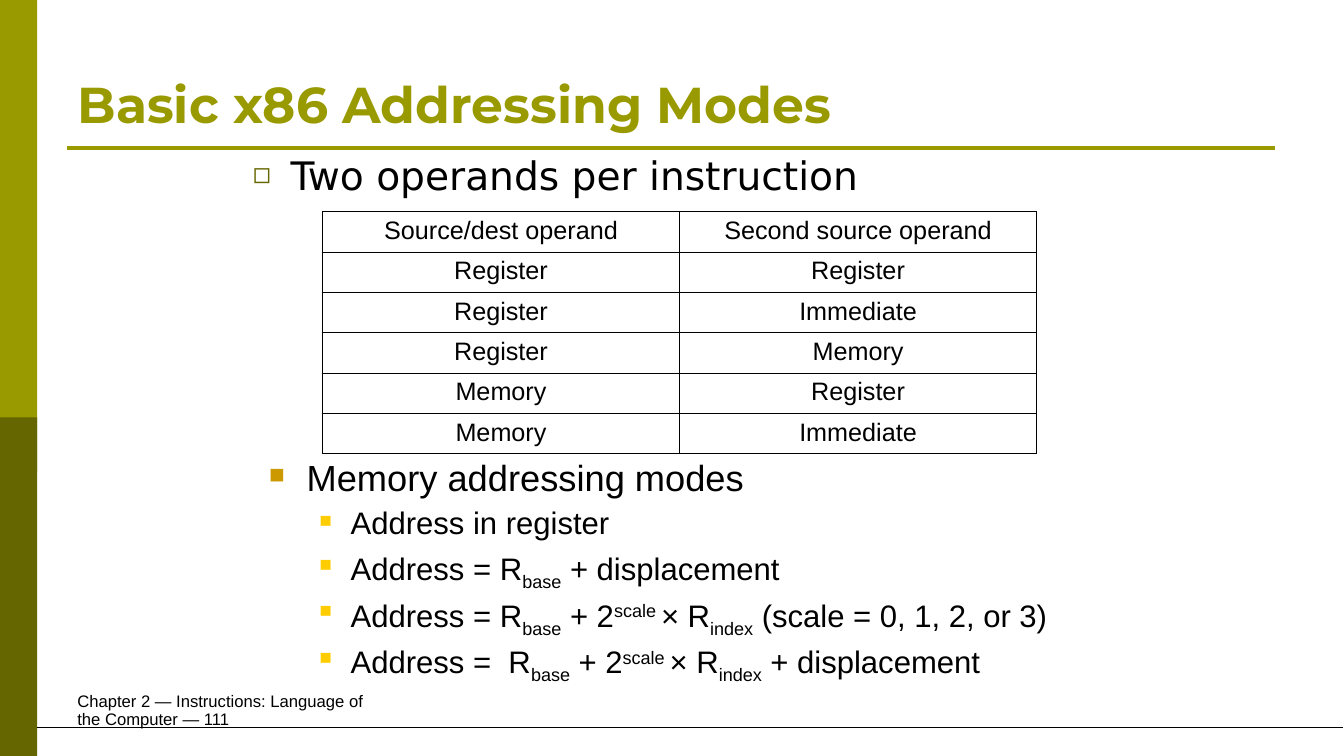
from lxml.etree import SubElement
from pptx import Presentation
from pptx.dml.color import RGBColor
from pptx.enum.shapes import MSO_CONNECTOR as Conn, MSO_SHAPE as Shape
from pptx.enum.text import MSO_ANCHOR as Anchor, MSO_AUTO_SIZE as Auto, PP_ALIGN as Align
from pptx.oxml import parse_xml
from pptx.oxml.ns import nsdecls, qn
from pptx.util import Cm, Pt

# Content
TITLE = "Basic x86 Addressing Modes"
LEAD = "Two operands per instruction"
FOOTER = "Chapter 2 — Instructions: Language of the Computer — 111"
OPERANDS = [
    ("Source/dest operand", "Second source operand"),
    ("Register", "Register"),
    ("Register", "Immediate"),
    ("Register", "Memory"),
    ("Memory", "Register"),
    ("Memory", "Immediate"),
]
# Runs are (text, baseline shift in percent)
BASE = ("base", -25)
SCALED = [BASE, (" + 2", 0), ("scale ", 30), ("× R", 0), ("index", -25)]
MODES_HEAD = "Memory addressing modes"
MODES = [
    [("Address in register", 0)],
    [("Address = R", 0), BASE, (" + displacement", 0)],
    [("Address = R", 0), *SCALED, (" (scale = 0, 1, 2, or 3)", 0)],
    [("Address =  R", 0), *SCALED, (" + displacement", 0)],
]

# Formats
OLIVE, DARK_OLIVE, BLACK = "999900", "666600", "000000"
TITLE_FONT = dict(name="Montserrat", size=Pt(36), bold=True)
LEAD_FONT = dict(name="DejaVu Sans", size=Pt(28))
HEAD_FONT = dict(name="Arial", size=Pt(25.9))
MODE_FONT = dict(name="Arial", size=Pt(22.2))
CELL_FONT = dict(name="Arial", size=Pt(18))
FOOTER_FONT = dict(name="Arial", size=Pt(11.9))
# Bullets: character, colour, size in percent, text indent and hanging in cm
LEAD_BULLET = ("◻", DARK_OLIVE, 75, 0.95, 0.95)
HEAD_BULLET = ("■", "CC9900", 60, 0.95, 0.95)
MODE_BULLET = ("■", "FFCC00", 55, 2.06, 0.79)
THICK, THIN = Pt(1.08), Pt(0.45)


def rgb(value):
    return RGBColor.from_string(value)


def place(sp, left, top, width, height):
    sp.left, sp.top, sp.width, sp.height = map(Cm, (left, top, width, height))


def write(p, runs, font, color=BLACK, **paragraph):
    for key, value in paragraph.items():
        setattr(p, key, value)
    for text, shift in runs:
        r = p.add_run()
        r.text = text
        for key, value in font.items():
            setattr(r.font, key, value)
        r.font.color.rgb = rgb(color)
        if shift:
            r._r.get_or_add_rPr().set("baseline", str(shift * 1000))


def add_bullet(p, char, color, percent, indent, hanging):
    pPr = p._p.get_or_add_pPr()
    pPr.set("marL", str(Cm(indent)))
    pPr.set("indent", str(-Cm(hanging)))
    SubElement(SubElement(pPr, qn("a:buClr")), qn("a:srgbClr")).set("val", color)
    SubElement(pPr, qn("a:buSzPct")).set("val", str(percent * 1000))
    SubElement(pPr, qn("a:buChar")).set("char", char)


def set_borders(cell, widths):
    tcPr = cell._tc.get_or_add_tcPr()
    for i, (side, width) in enumerate(zip("LRTB", widths)):
        tcPr.insert(i, parse_xml(
            f'<a:ln{side} {nsdecls("a")} w="{width}"><a:solidFill>'
            f'<a:srgbClr val="{BLACK}"/></a:solidFill></a:ln{side}>'))


prs = Presentation()
prs.slide_width, prs.slide_height = Cm(33.88), Cm(19.05)
s = prs.slides.add_slide(prs.slide_layouts[1])

# Side bars
for top, height, color in [(0, 11.91, OLIVE), (10.52, 8.53, DARK_OLIVE)]:
    bar = s.shapes.add_shape(Shape.RECTANGLE, 0, Cm(top), Cm(0.94), Cm(height))
    bar.shadow.inherit = False
    bar.fill.solid()
    bar.fill.fore_color.rgb = rgb(color)
    bar.line.fill.background()

# Rules under the title and above the bottom edge
for x1, x2, y, color, width in [(1.7, 32.13, 3.73, OLIVE, 3), (0.94, 33.86, 18.34, BLACK, 0.75)]:
    rule = s.shapes.add_connector(Conn.STRAIGHT, Cm(x1), Cm(y), Cm(x2), Cm(y))
    rule.line.color.rgb = rgb(color)
    rule.line.width = Pt(width)
    SubElement(rule._element.spPr, qn("a:effectLst"))

# Title and lead bullet
title, body = s.shapes.title, s.placeholders[1]
place(title, 1.7, 0.76, 30.48, 2.74)
place(body, 6.12, 3.68, 22.99, 1.8)
for sp, anchor in [(title, Anchor.BOTTOM), (body, Anchor.TOP)]:
    tf = sp.text_frame
    tf.auto_size, tf.vertical_anchor, tf.word_wrap = Auto.NONE, anchor, True
write(title.text_frame.paragraphs[0], [(TITLE, 0)], TITLE_FONT, OLIVE, alignment=Align.LEFT)
p = body.text_frame.paragraphs[0]
add_bullet(p, *LEAD_BULLET)
write(p, [(LEAD, 0)], LEAD_FONT, space_before=Pt(0))

# Operand table
rows, cols = len(OPERANDS), len(OPERANDS[0])
table = s.shapes.add_table(rows, cols, Cm(8.13), Cm(5.33), Cm(18), Cm(6.1)).table
table.first_row = table.horz_banding = False
for row in table.rows:
    row.height = Cm(6.1 / rows)
for i, texts in enumerate(OPERANDS):
    for j, text in enumerate(texts):
        cell = table.cell(i, j)
        cell.fill.background()
        outer = (j == 0, j == cols - 1, i == 0, i == rows - 1)
        set_borders(cell, [THICK if edge else THIN for edge in outer])
        write(cell.text_frame.paragraphs[0], [(text, 0)], CELL_FONT, alignment=Align.CENTER)

# Memory addressing modes
tf = s.shapes.add_textbox(Cm(6.53), Cm(11.48), Cm(22.96), Cm(6.4)).text_frame
tf.word_wrap = True
p = tf.paragraphs[0]
add_bullet(p, *HEAD_BULLET)
write(p, [(MODES_HEAD, 0)], HEAD_FONT, line_spacing=0.9)
for runs in MODES:
    p = tf.add_paragraph()
    add_bullet(p, *MODE_BULLET)
    write(p, runs, MODE_FONT, level=1, line_spacing=0.9, space_before=Pt(6))

# Footer
tf = s.shapes.add_textbox(Cm(1.7), Cm(17.35), Cm(7.9), Cm(1.27)).text_frame
tf.word_wrap = True
write(tf.paragraphs[0], [(FOOTER, 0)], FOOTER_FONT, line_spacing=0.9)

prs.save("out.pptx")
